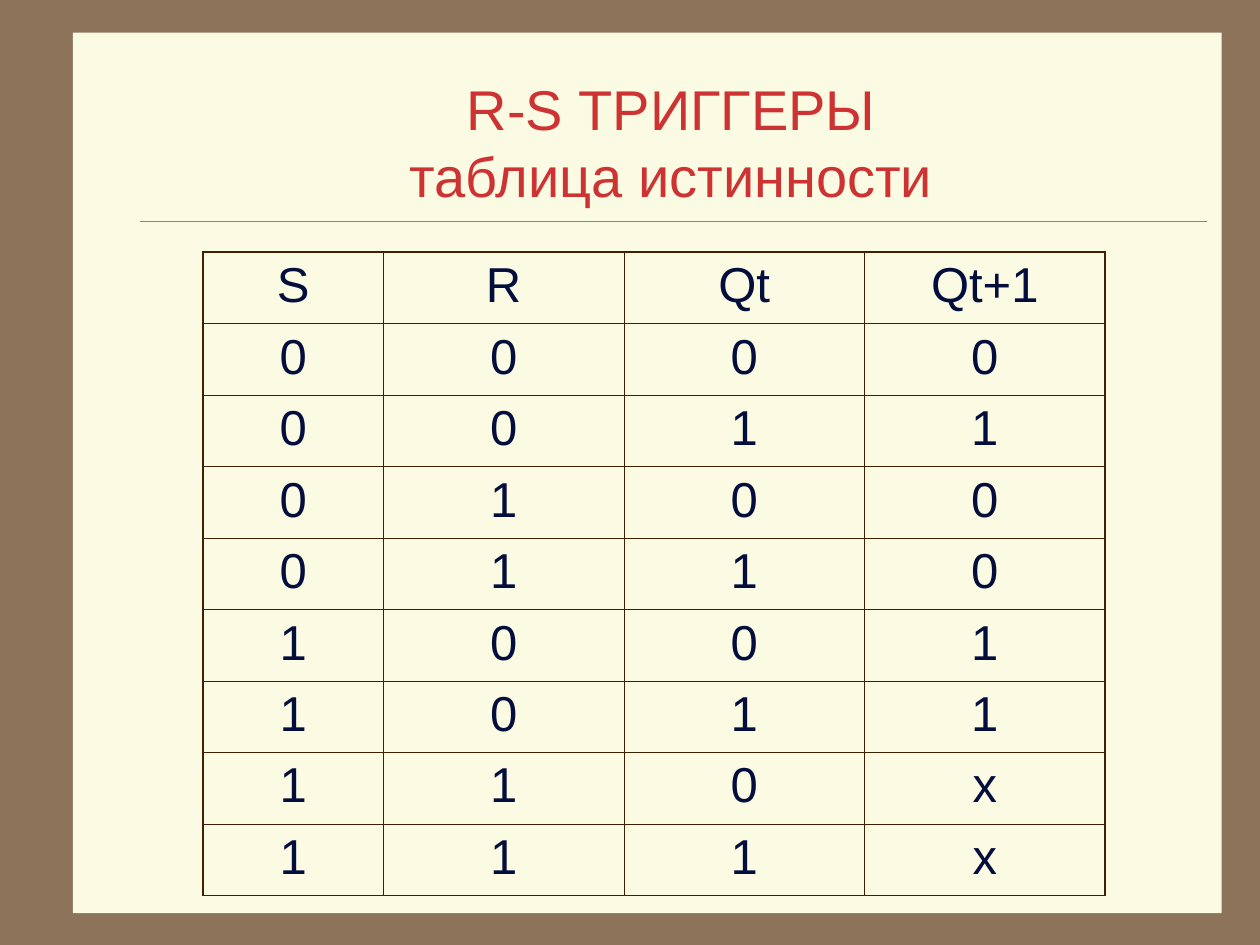
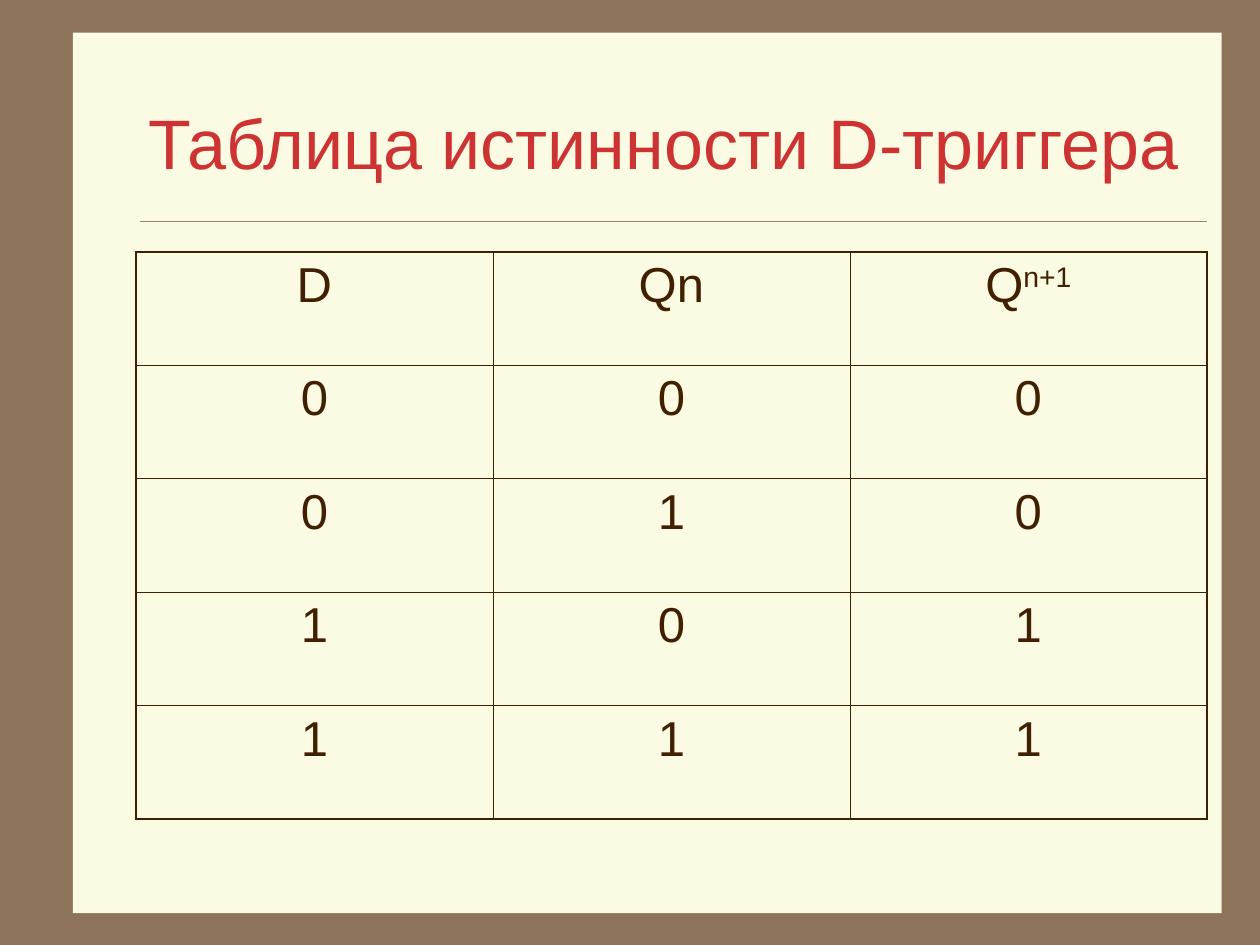
from dataclasses import dataclass
from itertools import product
from typing import NamedTuple

from lxml.etree import SubElement
from pptx import Presentation
from pptx.dml.color import RGBColor as Color
from pptx.enum.shapes import MSO_CONNECTOR as Connector, MSO_SHAPE as Shape
from pptx.enum.text import MSO_ANCHOR as Anchor, PP_ALIGN as Align
from pptx.oxml.ns import qn
from pptx.util import Cm, Pt


@dataclass(frozen=True)
class Theme:
    font: str = "Arial"
    frame: str = "8C735A"
    paper: str = "FBFAE2"
    rule: str = "A08366"
    title: str = "CD3333"
    ink: str = "402000"
    navy: str = "030E3D"
    title_size: int = 40
    long_title_size: int = 32
    cell_size: int = 28
    rule_width: float = 0.25
    inner_border: float = 0.45
    outer_border: float = 1.08


class Box(NamedTuple):
    """A region in centimetres."""
    left: float
    top: float
    width: float
    height: float

    def lengths(self):
        return [Cm(value) for value in self]


THEME = Theme()
PAGE = Box(0, 0, 25.4, 19.05)
PAPER = Box(1.47, 0.66, 23.16, 17.75)
TITLE = Box(2.74, 1.27, 21.59, 3.18)
RS_TABLE = Box(4.09, 5.08, 18.19, 12.93)
D_TABLE = Box(2.74, 5.08, 21.59, 11.43)


def style_font(font, size, color):
    font.name = THEME.font
    font.size = Pt(size)
    font.color.rgb = Color.from_string(color)


def add_page(deck):
    """Blank page with the brown frame and the cream paper."""
    page = deck.slides.add_slide(deck.slide_layouts[6])
    backdrop = page.background.fill
    backdrop.solid()
    backdrop.fore_color.rgb = Color.from_string(THEME.frame)

    paper = page.shapes.add_shape(Shape.RECTANGLE, *PAPER.lengths())
    paper.shadow.inherit = False
    paper.fill.solid()
    paper.fill.fore_color.rgb = Color.from_string(THEME.paper)
    paper.line.fill.background()
    return page


def add_title(page, box, text, size, align):
    """Title text with a thin rule along the bottom of its box."""
    left, top, width, height = box.lengths()
    bottom = top + height
    rule = page.shapes.add_connector(
        Connector.STRAIGHT, left + Cm(0.08), bottom, left + width, bottom)
    rule.line.color.rgb = Color.from_string(THEME.rule)
    rule.line.width = Pt(THEME.rule_width)
    SubElement(rule._element.spPr, qn("a:effectLst"))

    frame = page.shapes.add_textbox(left, top, width, height).text_frame
    frame.word_wrap = True
    frame.vertical_anchor = Anchor.MIDDLE
    para = frame.paragraphs[0]
    para.text = text
    para.alignment = align
    style_font(para.font, size, THEME.title)


def set_borders(cell, outer_sides):
    """Draw all four sides, the outer ones thicker."""
    properties = cell._tc.get_or_add_tcPr()
    for side in "LRTB":
        width = THEME.outer_border if side in outer_sides else THEME.inner_border
        line = SubElement(properties, qn(f"a:ln{side}"), w=str(Pt(width)))
        fill = SubElement(line, qn("a:solidFill"))
        SubElement(fill, qn("a:srgbClr"), val=THEME.ink)


def write_cell(cell, text, color):
    """Centred text; whatever follows ^ is raised."""
    base, _, raised = text.partition("^")
    para = cell.text_frame.paragraphs[0]
    para.text = base
    para.alignment = Align.CENTER
    style_font(para.font, THEME.cell_size, color)
    if raised:
        span = para.add_run()
        span.text = raised
        span._r.get_or_add_rPr().set("baseline", "30000")


def add_truth_table(page, box, rows, column_weights, color, fill=None):
    last_row, last_column = len(rows) - 1, len(column_weights) - 1
    table = page.shapes.add_table(
        len(rows), len(column_weights), *box.lengths()).table
    table.first_row = table.horz_banding = False

    # Column widths by weight, equal row heights
    for column, weight in zip(table.columns, column_weights):
        column.width = Cm(box.width * weight / sum(column_weights))
    for row in table.rows:
        row.height = Cm(box.height / len(rows))

    # Cells
    for r, values in enumerate(rows):
        for c, value in enumerate(values):
            cell = table.cell(r, c)
            edges = {"L": c == 0, "R": c == last_column,
                     "T": r == 0, "B": r == last_row}
            set_borders(cell, [side for side, outer in edges.items() if outer])
            if fill:
                cell.fill.solid()
                cell.fill.fore_color.rgb = Color.from_string(fill)
            else:
                cell.fill.background()
            write_cell(cell, value, color)


def add_rs_page(deck):
    page = add_page(deck)
    add_title(page, TITLE, "R-S ТРИГГЕРЫ\nтаблица истинности",
              THEME.long_title_size, Align.CENTER)
    inputs = product("01", repeat=3)
    rows = [("S", "R", "Qt", "Qt+1")]
    rows += [(*state, following) for state, following in zip(inputs, "010011хх")]
    add_truth_table(page, RS_TABLE, rows, (3, 4, 4, 4), THEME.navy, THEME.paper)


def add_d_page(deck):
    page = add_page(deck)
    add_title(page, TITLE, "Таблица истинности D-триггера",
              THEME.title_size, Align.LEFT)
    # The next state always repeats the D input
    rows = [("D", "Qn", "Q^n+1")]
    rows += [(d, q, d) for d, q in product("01", repeat=2)]
    add_truth_table(page, D_TABLE, rows, (1, 1, 1), THEME.ink)


def main():
    deck = Presentation()
    deck.slide_width, deck.slide_height = Cm(PAGE.width), Cm(PAGE.height)
    add_rs_page(deck)
    add_d_page(deck)
    deck.save("out.pptx")


if __name__ == "__main__":
    main()
